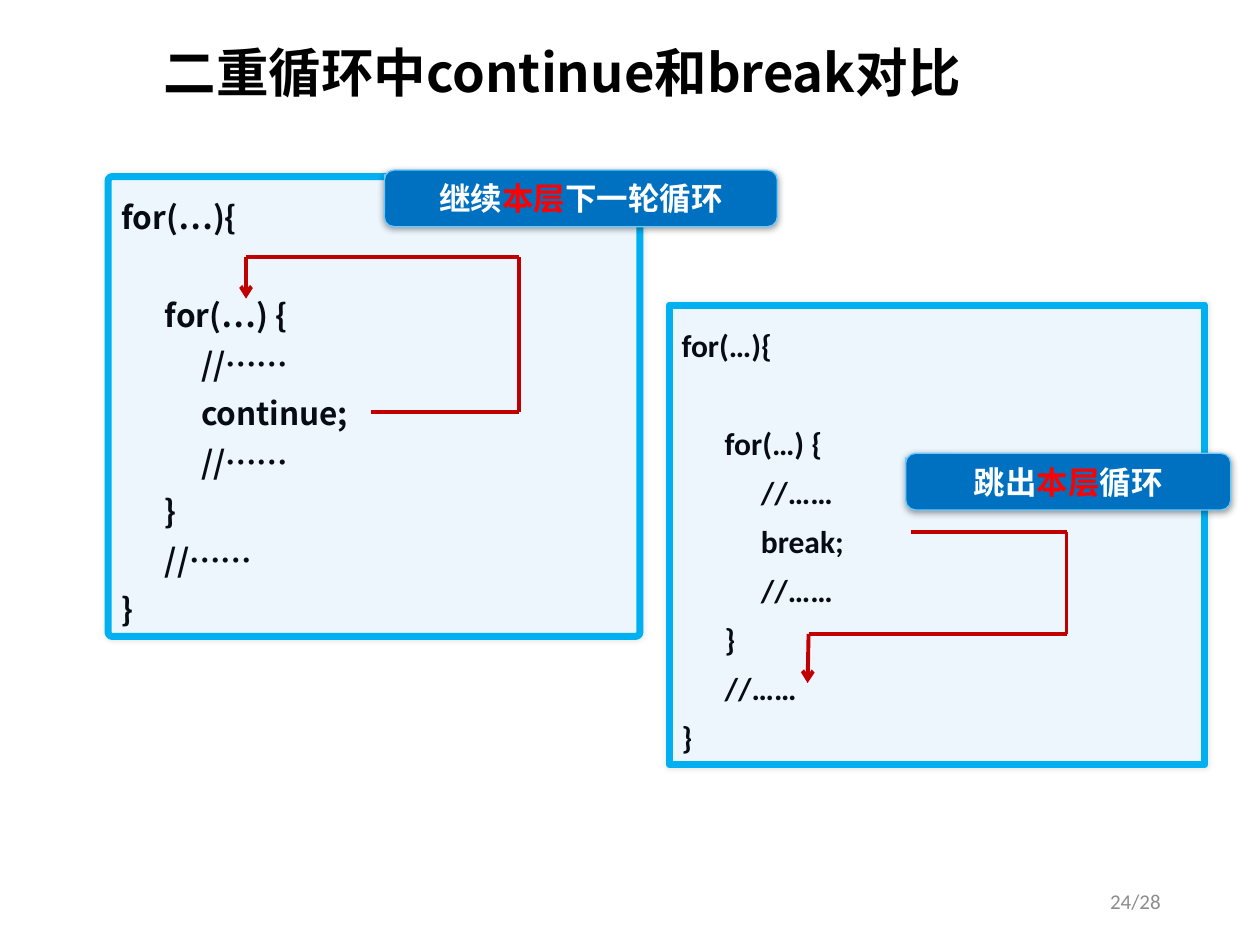
import itertools

import pptx
import pptx.dml.color
import pptx.enum.shapes
import pptx.enum.text
import pptx.oxml
import pptx.oxml.ns
import pptx.util
from pptx.util import Cm

RGBColor = pptx.dml.color.RGBColor
BLACK = RGBColor(0x00, 0x00, 0x00)
WHITE = RGBColor(0xFF, 0xFF, 0xFF)
INK = RGBColor(0x06, 0x0B, 0x14)
PALE = RGBColor(0xED, 0xF5, 0xFD)
CYAN = RGBColor(0x00, 0xB0, 0xF0)
BLUE = RGBColor(0x00, 0x70, 0xC0)
SKY = RGBColor(0x66, 0xCC, 0xFF)
RED = RGBColor(0xFF, 0x00, 0x00)
DARK_RED = RGBColor(0xC0, 0x00, 0x00)
GRAY = RGBColor(0x8C, 0x8C, 0x8C)

CJK = "Noto Sans CJK SC"
SHAPE = pptx.enum.shapes.MSO_SHAPE
ALIGN = pptx.enum.text.PP_ALIGN
ANCHOR = pptx.enum.text.MSO_ANCHOR
NS = pptx.oxml.ns.nsdecls("a")


def add_run(p, text, size, color, name, bold=True):
    r = p.add_run()
    r.text = text
    font = {"size": pptx.util.Pt(size), "bold": bold, "name": name}
    for key, value in font.items():
        setattr(r.font, key, value)
    r.font.color.rgb = color
    rPr = r.font._element
    rPr.set("lang", "zh-CN")
    ea = pptx.oxml.parse_xml(f'<a:ea {NS} typeface="{CJK if name == "Arial" else name}"/>')
    rPr.find(pptx.oxml.ns.qn("a:latin")).addnext(ea)


def add_panel(s, kind, box, adjustments, fill, line, width, shadow):
    """Add a filled, outlined shape; shadow is opacity %, blur, distance, angle."""
    sp = s.shapes.add_shape(kind, *[Cm(v) for v in box])
    for i, value in enumerate(adjustments):
        sp.adjustments[i] = value
    sp.fill.solid()
    sp.fill.fore_color.rgb = fill
    sp.line.color.rgb = line
    sp.line.width = pptx.util.Pt(width)
    opacity, blur, distance, angle = shadow
    sp._element.spPr.append(pptx.oxml.parse_xml(
        f'<a:effectLst {NS}><a:outerShdw blurRad="{blur * 12700}" '
        f'dist="{distance * 12700}" dir="{angle * 60000}" algn="ctr" rotWithShape="0">'
        f'<a:srgbClr val="000000"><a:alpha val="{opacity * 1000}"/></a:srgbClr>'
        '</a:outerShdw></a:effectLst>'))
    return sp


prs = pptx.Presentation()
prs.slide_width, prs.slide_height = Cm(25.4), Cm(19.05)
s = prs.slides.add_slide(prs.slide_layouts[5])

# Title
title = s.shapes.title
place = {"left": 3.05, "top": 0.79, "width": 21.84, "height": 1.45}
for key, value in place.items():
    setattr(title, key, Cm(value))
title.text_frame.vertical_anchor = ANCHOR.MIDDLE
p = title.text_frame.paragraphs[0]
p.alignment = ALIGN.LEFT
p.line_spacing = 0.9
add_run(p, "二重循环中continue和break对比", 30, BLACK, CJK)

# Code panels: the same nested loop around a different statement
INDENTS = [0, 0.87, 1.6]
LINE_PITCH = pptx.util.Pt(28)
panels = [
    ("continue;", CJK, (2.18, 3.56, 10.72, 9.27), 0.009),
    ("break;", "Calibri", (13.49, 6.15, 10.8, 9.27), 0),
]
for statement, font_name, box, corner in panels:
    sp = add_panel(s, SHAPE.ROUNDED_RECTANGLE, box, [corner], PALE, CYAN, 4, (10, 3, 0, 0))
    tf = sp.text_frame
    tf.word_wrap = True
    tf.vertical_anchor = ANCHOR.TOP
    tf.margin_top = Cm(0.19)
    code = [(0, "for(…){"), (1, "for(…) {"), (2, "//……"), (2, statement),
            (2, "//……"), (1, "}"), (1, "//……"), (0, "}")]
    for i, (level, text) in enumerate(code):
        p = tf.add_paragraph() if i else tf.paragraphs[0]
        p.alignment = ALIGN.LEFT
        p.line_spacing = LINE_PITCH
        p.space_before = LINE_PITCH if i == 1 else 0
        p._p.get_or_add_pPr().set("marL", str(Cm(INDENTS[level])))
        add_run(p, text, 18, INK, font_name)

# Jump paths, each ending in an arrowhead
paths = [
    [(7.47, 8.31), (10.46, 8.31), (10.46, 5.18), (4.96, 5.18), (4.96, 6.02)],
    [(18.36, 10.72), (21.5, 10.72), (21.5, 12.78), (16.3, 12.78), (16.28, 13.77)],
]
for points in paths:
    for start, end in itertools.pairwise(points):
        line = s.shapes.add_connector(
            pptx.enum.shapes.MSO_CONNECTOR.STRAIGHT, *[Cm(v) for v in start + end])
        line.line.color.rgb = DARK_RED
        line.line.width = pptx.util.Pt(2.25)
        line._element.spPr.append(pptx.oxml.parse_xml(f"<a:effectLst {NS}/>"))
    line.line._get_or_add_ln().append(
        pptx.oxml.parse_xml(f'<a:tailEnd {NS} type="arrow"/>'))

# Callouts
callouts = [
    ((7.75, 3.43, 7.92, 1.14), "继续", "下一轮循环"),
    ((18.26, 9.14, 6.55, 1.14), "跳出", "循环"),
]
for box, before, after in callouts:
    sp = add_panel(s, SHAPE.ROUNDED_RECTANGULAR_CALLOUT, box, [-0.5, -0.42, 0.17],
                   BLUE, SKY, 0.75, (40, 4, 1, 90))
    sp.text_frame.vertical_anchor = ANCHOR.MIDDLE
    p = sp.text_frame.paragraphs[0]
    p.alignment = ALIGN.CENTER
    for text, color in [(before, WHITE), ("本层", RED), (after, WHITE)]:
        add_run(p, text, 18, color, "Arial")

# Page number
sp = s.shapes.add_textbox(Cm(17.93), Cm(17.65), Cm(5.72), Cm(1.02))
tf = sp.text_frame
tf.word_wrap = True
tf.vertical_anchor = ANCHOR.MIDDLE
p = tf.paragraphs[0]
p.alignment = ALIGN.RIGHT
add_run(p, "24/28", 12, GRAY, "Calibri", bold=False)

prs.save("out.pptx")
